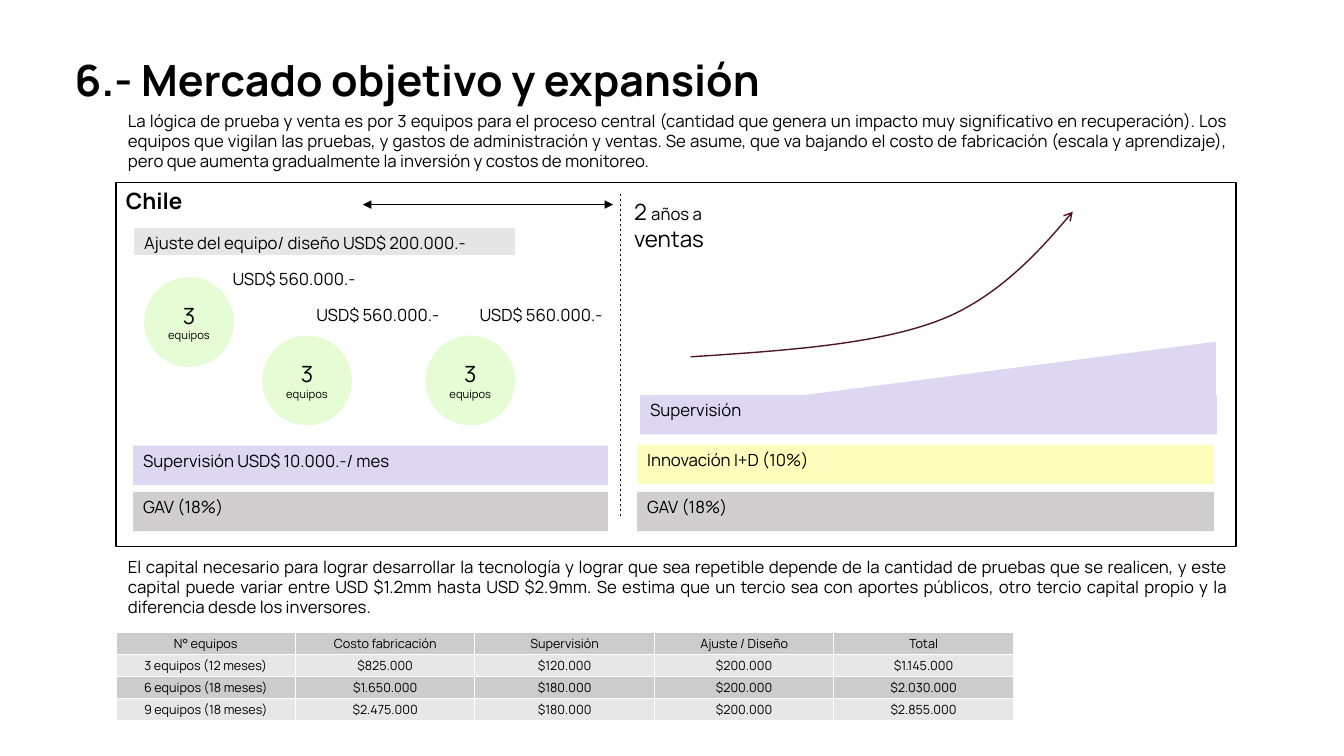
"""Build the market and expansion slide."""
import lxml.etree
import pptx
import pptx.dml.color
import pptx.enum.dml
import pptx.enum.shapes
import pptx.enum.text
import pptx.oxml.ns
import pptx.util

PX = 9144
FONT = "Manrope"
BLACK, WHITE, GREEN, LILAC, GREY = "000000", "FFFFFF", "E5FCD4", "DDD7F2", "D0CECE"
SHAPES = pptx.enum.shapes.MSO_SHAPE
ALIGN = pptx.enum.text.PP_ALIGN
ANCHOR = pptx.enum.text.MSO_ANCHOR
qn = pptx.oxml.ns.qn

INTRO = (
    "La lógica de prueba y venta es por 3 equipos para el proceso central (cantidad que genera un "
    "impacto muy significativo en recuperación). Los equipos que vigilan las pruebas, y gastos de "
    "administración y ventas. Se asume, que va bajando el costo de fabricación (escala y aprendizaje), "
    "pero que aumenta gradualmente la inversión y costos de monitoreo."
)
CAPITAL = (
    "El capital necesario para lograr desarrollar la tecnología y lograr que sea repetible depende de "
    "la cantidad de pruebas que se realicen, y este capital puede variar entre USD $1.2mm hasta USD "
    "$2.9mm. Se estima que un tercio sea con aportes públicos, otro tercio capital propio y la "
    "diferencia desde los inversores."
)
COSTS = [
    ["N° equipos", "Costo fabricación", "Supervisión", "Ajuste / Diseño", "Total"],
    ["3 equipos (12 meses)", "$825.000", "$120.000", "$200.000", "$1.145.000"],
    ["6 equipos (18 meses)", "$1.650.000", "$180.000", "$200.000", "$2.030.000"],
    ["9 equipos (18 meses)", "$2.475.000", "$180.000", "$200.000", "$2.855.000"],
]
BARS = [
    (133, 226, 378, 27, "E7E6E6", "Ajuste del equipo/ diseño USD$ 200.000.-"),
    (132, 442, 471, 39, LILAC, "Supervisión USD$ 10.000.-/ mes"),
    (132, 488, 471, 39, GREY, "GAV (18%)"),
    (632, 488, 572, 39, GREY, "GAV (18%)"),
    (635, 392, 572, 39, LILAC, "Supervisión"),
]
TESTS = [(143, 275, 221, 262), (260, 333, 304, 297), (422, 333, 466, 297)]
GROWTH = [(685, 354), (777, 348), (868, 342), (931, 318), (995, 294), (1064, 210), (1064, 210)]


def emu(*lengths):
    """Turn px into EMU."""
    return [length * PX for length in lengths]


def color(value):
    """Turn a hex string into a colour."""
    return pptx.dml.color.RGBColor.from_string(value)


def write(frame, text, size=12, bold=False, align=ALIGN.LEFT, leading=None):
    """Write a string, or paragraphs of (text, size) spans, into a frame."""
    paragraphs = [[(text, size)]] if isinstance(text, str) else text
    for index, spans in enumerate(paragraphs):
        para = frame.add_paragraph() if index else frame.paragraphs[0]
        para.alignment = align
        if leading:
            para.line_spacing = pptx.util.Pt(leading)
        for words, points in spans:
            span = para.add_run()
            span.text = words
            span.font.name = FONT
            span.font.size = pptx.util.Pt(points)
            span.font.bold = bold
            span.font.color.rgb = color(BLACK)


def add_text(page, place, text, wrap=True, inset=True, **style):
    """Add a text box."""
    frame = page.shapes.add_textbox(*emu(*place)).text_frame
    frame.word_wrap = wrap
    if not inset:
        frame.margin_left = frame.margin_top = frame.margin_right = frame.margin_bottom = 0
    write(frame, text, **style)


def add_box(page, kind, place, fill, text="", outline=None, alpha=None, anchor=ANCHOR.TOP, **style):
    """Add a filled preset shape."""
    box = page.shapes.add_shape(kind, *emu(*place))
    box.shadow.inherit = False
    box.fill.solid()
    box.fill.fore_color.rgb = color(fill)
    if alpha:
        tint = box._element.spPr.find(qn("a:solidFill"))[0]
        lxml.etree.SubElement(tint, qn("a:alpha"), val=str(alpha * 1000))
    if outline:
        set_line(box, outline, 1)
    else:
        box.line.fill.background()
    box.text_frame.vertical_anchor = anchor
    if text:
        write(box.text_frame, text, **style)
    return box


def set_line(shape, stroke, width, **ends):
    """Set the stroke of a shape and its arrowheads."""
    shape.line.color.rgb = color(stroke)
    shape.line.width = pptx.util.Pt(width)
    for tag, kind in ends.items():
        lxml.etree.SubElement(shape.line._get_or_add_ln(), qn("a:" + tag), type=kind)


def add_line(page, start, end, dash=None, **ends):
    """Add a thin straight connector."""
    line = page.shapes.add_connector(pptx.enum.shapes.MSO_CONNECTOR.STRAIGHT, *emu(*start, *end))
    if dash:
        line.line.dash_style = dash
    set_line(line, BLACK, 0.5, **ends)
    lxml.etree.SubElement(line._element.spPr, qn("a:effectLst"))


def add_curve(page, points, stroke):
    """Add an open curve with an arrowhead, from a start and triples of control points."""
    builder = page.shapes.build_freeform(*points[0], scale=PX)
    builder.add_line_segments(points[1:], close=False)
    curve = builder.convert_to_shape()
    curve.shadow.inherit = False
    curve.fill.background()
    set_line(curve, stroke, 1, tailEnd="arrow")
    outline = next(curve._element.iter(qn("a:path")))
    segments = outline.findall(qn("a:lnTo"))
    for first in range(0, len(segments), 3):
        bend = lxml.etree.SubElement(outline, qn("a:cubicBezTo"))
        for segment in segments[first:first + 3]:
            bend.append(segment[0])
            outline.remove(segment)


def add_borders(cell, stroke):
    """Draw a 1 pt border on each side of a cell."""
    for side in ("lnL", "lnR", "lnT", "lnB"):
        line = lxml.etree.SubElement(cell._tc.get_or_add_tcPr(), qn("a:" + side), w="12700")
        fill = lxml.etree.SubElement(line, qn("a:solidFill"))
        lxml.etree.SubElement(fill, qn("a:srgbClr"), val=stroke)


def add_cost_table(page, left, top, column, row, data):
    """Add a table with rows of alternating grey."""
    size = emu(left, top, column * len(data[0]), row * len(data))
    table = page.shapes.add_table(len(data), len(data[0]), *size).table
    for number, texts in enumerate(data):
        table.rows[number].height = row * PX
        for cell, text in zip(table.rows[number].cells, texts):
            cell.margin_left = cell.margin_right = 7 * PX
            cell.margin_top = cell.margin_bottom = 3 * PX
            add_borders(cell, WHITE)
            cell.fill.solid()
            cell.fill.fore_color.rgb = color("E7E7E7" if number % 2 else "CCCCCC")
            write(cell.text_frame, text, size=9, align=ALIGN.CENTER)


def main():
    """Build and save the deck."""
    deck = pptx.Presentation()
    deck.slide_width, deck.slide_height = emu(1333, 750)
    page = deck.slides.add_slide(deck.slide_layouts[6])
    add_text(page, (74, 45, 891, 56), "6.- Mercado objetivo y expansión", inset=False,
             size=30.7, bold=True, leading=42.9)
    add_text(page, (117, 105, 1111, 61), INTRO, align=ALIGN.JUSTIFY)
    add_box(page, SHAPES.RECTANGLE, (115, 181, 1111, 361), WHITE, "Chile", outline=BLACK,
            size=16, bold=True)
    for left, top, price_left, price_top in TESTS:
        add_box(page, SHAPES.OVAL, (left, top, 89, 89), GREEN, [[("3 ", 16), ("equipos", 8)]],
                anchor=ANCHOR.MIDDLE, align=ALIGN.CENTER)
        add_text(page, (price_left, price_top, 144, 30), "USD$ 560.000.-", wrap=False)
    for *place, fill, label in BARS:
        add_box(page, SHAPES.RECTANGLE, place, fill, label)
    add_box(page, SHAPES.RECTANGLE, (632, 441, 572, 39), "FFFD78", "Innovación I+D (10%)", alpha=50)
    ramp = add_box(page, SHAPES.ISOSCELES_TRIANGLE, (758, 339, 448, 58), LILAC)
    ramp.adjustments[0] = 1
    add_line(page, (615, 192), (615, 514), dash=pptx.enum.dml.MSO_LINE.DASH)
    add_line(page, (608, 203), (360, 203), headEnd="triangle", tailEnd="triangle")
    add_text(page, (619, 192, 100, 64), [[("2 ", 16), ("años a", 12)], [("ventas", 16)]])
    add_curve(page, GROWTH, "4E1627")
    add_text(page, (117, 547, 1111, 71), CAPITAL, align=ALIGN.JUSTIFY)
    add_cost_table(page, 115, 627, 178, 22, COSTS)
    deck.save("out.pptx")


if __name__ == "__main__":
    main()
